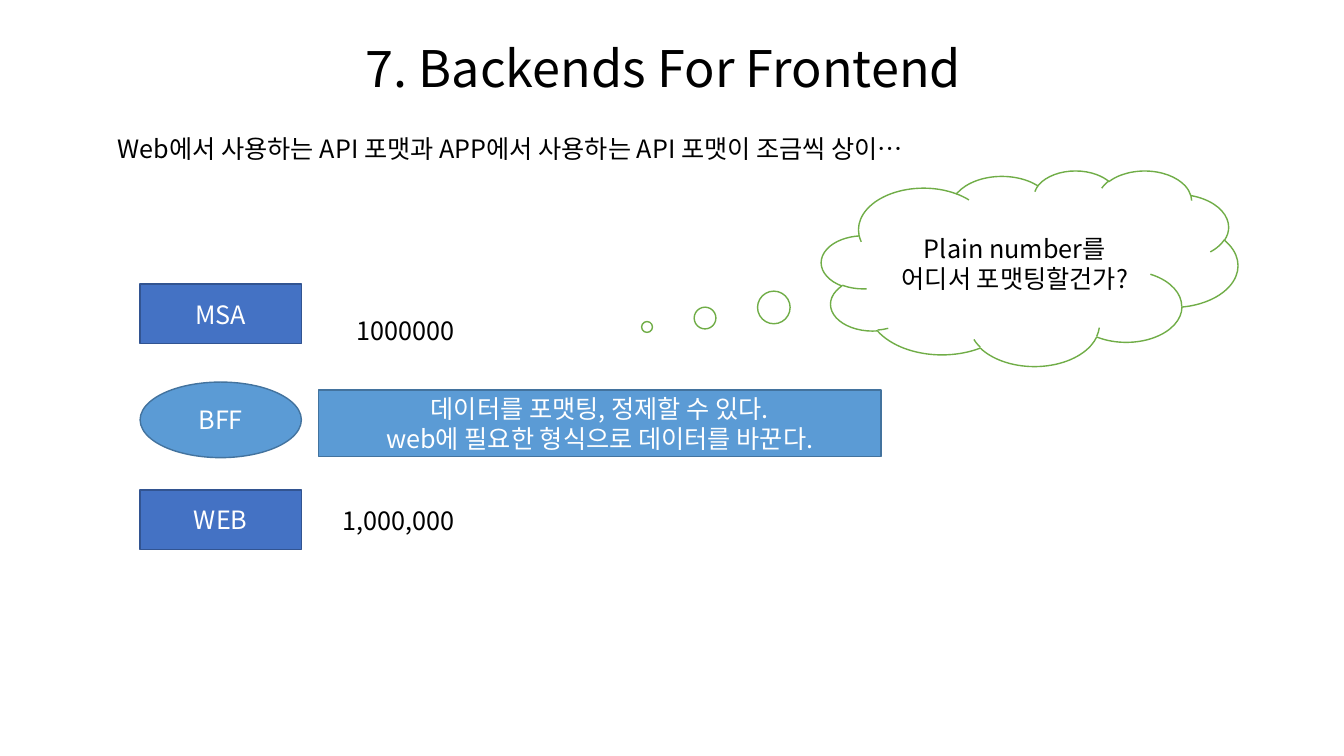
from lxml.etree import SubElement
from pptx import Presentation
from pptx.dml.color import RGBColor
from pptx.enum.shapes import MSO_SHAPE
from pptx.enum.text import MSO_ANCHOR, MSO_AUTO_SIZE, PP_ALIGN
from pptx.oxml.ns import qn
from pptx.util import Pt

FONT = "Noto Sans CJK KR"
COLORS = {
    "black": "000000",
    "white": "FFFFFF",
    "service": "4472C4",
    "service_line": "325491",
    "bff": "5B9BD5",
    "bff_line": "43739E",
    "thought_line": "70AD47",
}


def color(name):
    return RGBColor.from_string(COLORS[name])


def write_text(text_frame, text, size=18, ink="black", align=PP_ALIGN.LEFT,
               anchor=MSO_ANCHOR.TOP, line_spacing=None):
    """Fill the frame, one paragraph for each line of the text."""
    text_frame.word_wrap = True
    text_frame.vertical_anchor = anchor
    for index, line in enumerate(text.split("\n")):
        paragraph = text_frame.add_paragraph() if index else text_frame.paragraphs[0]
        paragraph.alignment = align
        if line_spacing:
            paragraph.line_spacing = line_spacing
        run = paragraph.add_run()
        run.text = line
        run.font.size = Pt(size)
        run.font.color.rgb = color(ink)
        run.font.name = FONT
        # Korean glyphs take their typeface from the East Asian font slot
        SubElement(run.font._element, qn("a:ea"), typeface=FONT)


class SlideBuilder:
    def __init__(self, slide):
        self.slide = slide

    def label(self, text, left, top, width, height=28.8, grow=True, **text_format):
        box = self.slide.shapes.add_textbox(Pt(left), Pt(top), Pt(width), Pt(height))
        write_text(box.text_frame, text, **text_format)
        if grow:
            box.text_frame.auto_size = MSO_AUTO_SIZE.SHAPE_TO_FIT_TEXT

    def shape(self, kind, text, left, top, width, height, fill, line, ink="white"):
        shape = self.slide.shapes.add_shape(
            kind, Pt(left), Pt(top), Pt(width), Pt(height))
        shape.shadow.inherit = False
        shape.fill.solid()
        shape.fill.fore_color.rgb = color(fill)
        shape.line.color.rgb = color(line)
        shape.line.width = Pt(1)
        write_text(shape.text_frame, text, ink=ink, align=PP_ALIGN.CENTER,
                   anchor=MSO_ANCHOR.MIDDLE)
        return shape


def main():
    presentation = Presentation()
    presentation.slide_width, presentation.slide_height = Pt(960), Pt(540)
    builder = SlideBuilder(presentation.slides.add_slide(presentation.slide_layouts[6]))

    builder.label("7. Backends For Frontend", 113.8, 18.7, 720, 64.1, grow=False,
                  size=36, align=PP_ALIGN.CENTER, anchor=MSO_ANCHOR.MIDDLE,
                  line_spacing=0.9)
    builder.label("Web에서 사용하는 API 포맷과 APP에서 사용하는 API 포맷이 조금씩 상이…",
                  77, 91.4, 658.8)

    stage_left, stage_width = 100.1, 115.2
    for name, top in (("MSA", 203), ("WEB", 349.9)):
        builder.shape(MSO_SHAPE.RECTANGLE, name, stage_left, top, stage_width, 42.5,
                      "service", "service_line")
    for number, left, top in (("1,000,000", 237.6, 357.1), ("1000000", 247.7, 221.8)):
        builder.label(number, left, top, 103)

    thought = builder.shape(MSO_SHAPE.CLOUD_CALLOUT, "Plain number를 어디서 포맷팅할건가?",
                            586.8, 121.7, 297.4, 139.7, "white", "thought_line",
                            ink="black")
    thought.adjustments[0] = -0.919
    thought.adjustments[1] = 0.301

    builder.shape(MSO_SHAPE.OVAL, "BFF", stage_left, 272.9, stage_width, 54,
                  "bff", "bff_line")
    builder.shape(MSO_SHAPE.RECTANGLE,
                  "데이터를 포맷팅, 정제할 수 있다.\nweb에 필요한 형식으로 데이터를 바꾼다.",
                  227.5, 278.6, 401.8, 47.5, "bff", "bff_line")

    presentation.save("out.pptx")


if __name__ == "__main__":
    main()
